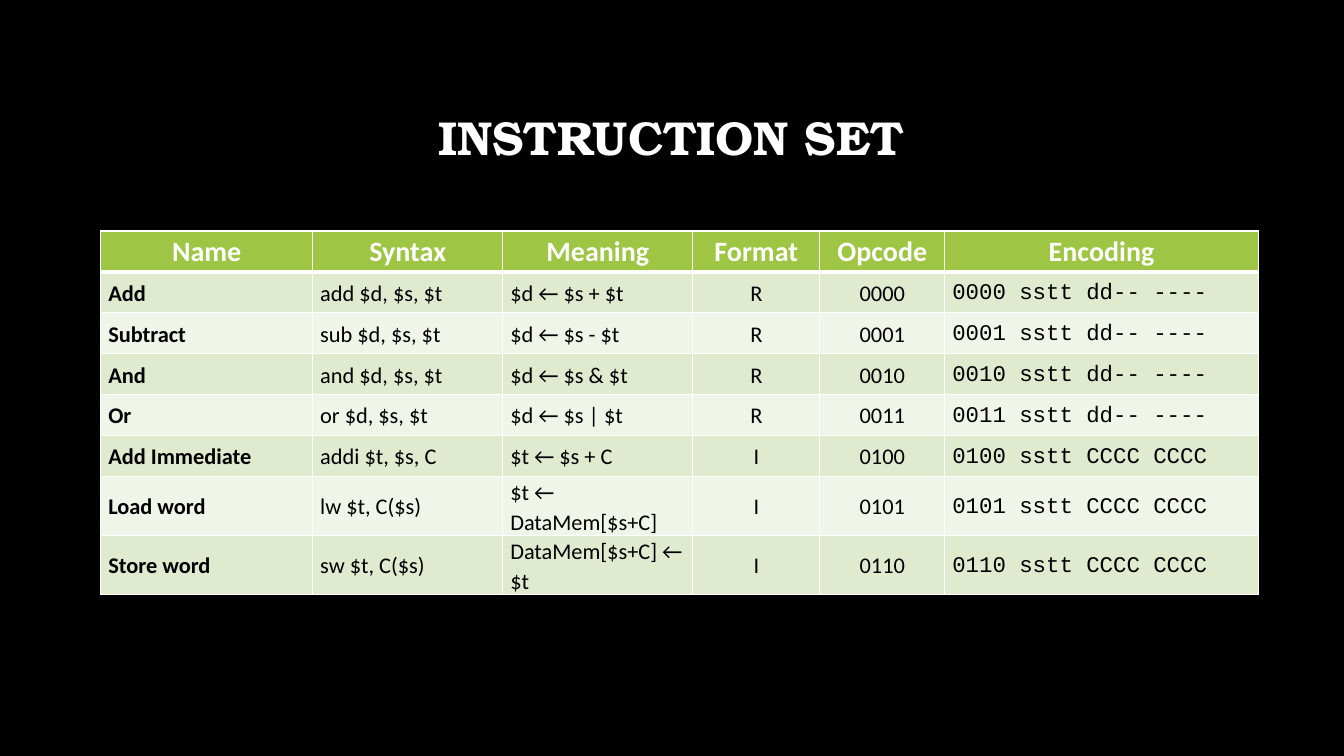
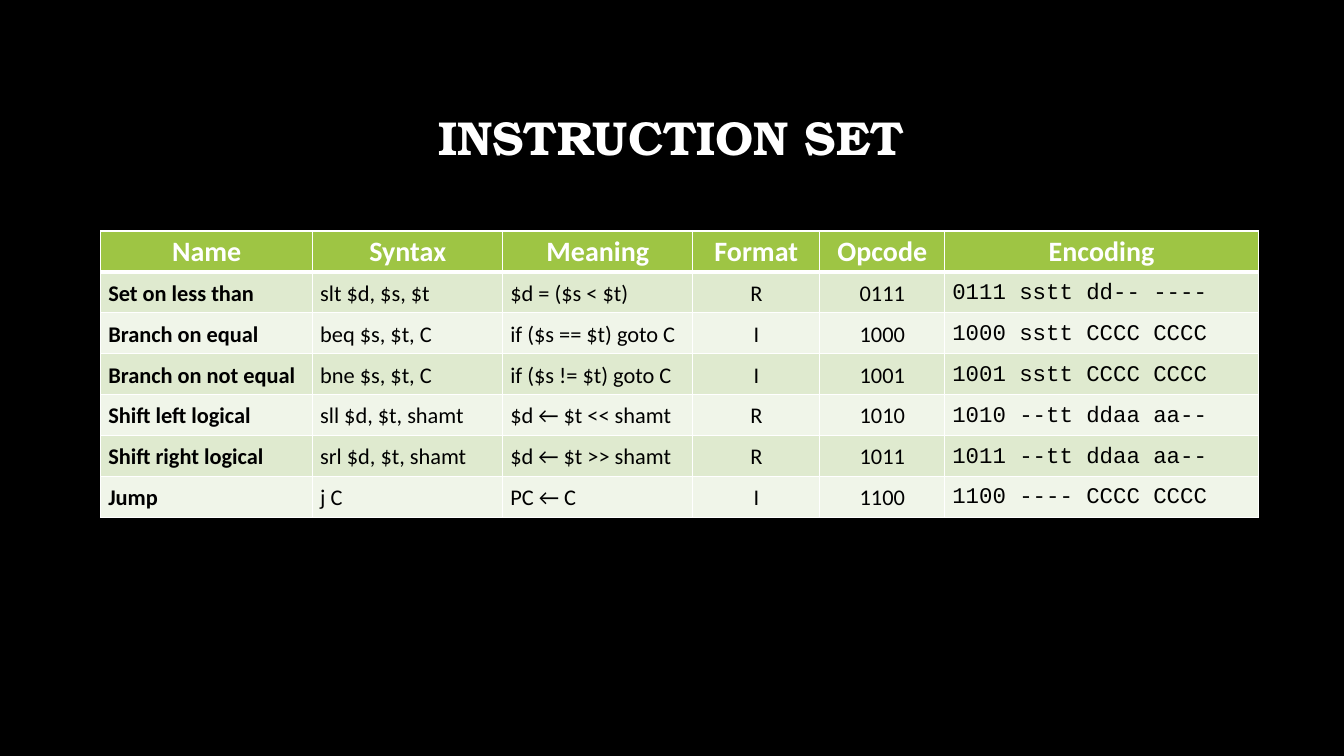
from lxml.etree import SubElement
from pptx import Presentation
from pptx.dml.color import RGBColor
from pptx.enum.text import MSO_ANCHOR, PP_ALIGN
from pptx.oxml.ns import qn
from pptx.util import Cm, Pt

BLACK = RGBColor(0x00, 0x00, 0x00)
WHITE = RGBColor(0xFF, 0xFF, 0xFF)
GREEN = RGBColor(0x9E, 0xC5, 0x44)
BANDS = (RGBColor(0xDF, 0xEA, 0xCF), RGBColor(0xF0, 0xF5, 0xE9))

TITLE = {"name": "TeX Gyre Bonum", "size": Pt(34), "bold": True}
HEADER = {"name": "Calibri", "size": Pt(20), "bold": True}
BODY = {"name": "Calibri", "size": Pt(16), "bold": False}
NAME = {**BODY, "bold": True}
CODE = {**BODY, "name": "Courier New"}

LEFT, CENTER = PP_ALIGN.LEFT, PP_ALIGN.CENTER
COLUMNS = (
    ("Name", 5.34, NAME, LEFT),
    ("Syntax", 4.79, BODY, LEFT),
    ("Meaning", 4.79, BODY, LEFT),
    ("Format", 3.2, BODY, CENTER),
    ("Opcode", 3.15, BODY, CENTER),
    ("Encoding", 7.9, CODE, LEFT),
)
ROW_HEIGHT = 1.03
CELL = {
    "margin_left": Cm(0.19),
    "margin_right": Cm(0.19),
    "margin_top": 0,
    "margin_bottom": 0,
}

ARITHMETIC = (
    ("Add", "add $d, $s, $t", "$d ← $s + $t", "R", "0000 sstt dd-- ----"),
    ("Subtract", "sub $d, $s, $t", "$d ← $s - $t", "R", "0001 sstt dd-- ----"),
    ("And", "and $d, $s, $t", "$d ← $s & $t", "R", "0010 sstt dd-- ----"),
    ("Or", "or $d, $s, $t", "$d ← $s | $t", "R", "0011 sstt dd-- ----"),
    ("Add Immediate", "addi $t, $s, C", "$t ← $s + C", "I", "0100 sstt CCCC CCCC"),
    ("Load word", "lw $t, C($s)", "$t ← DataMem[$s+C]", "I", "0101 sstt CCCC CCCC"),
    ("Store word", "sw $t, C($s)", "DataMem[$s+C] ← $t", "I", "0110 sstt CCCC CCCC"),
)
CONTROL = (
    ("Set on less than", "slt $d, $s, $t", "$d = ($s < $t)", "R", "0111 sstt dd-- ----"),
    ("Branch on equal", "beq $s, $t, C", "if ($s == $t) goto C", "I", "1000 sstt CCCC CCCC"),
    ("Branch on not equal", "bne $s, $t, C", "if ($s != $t) goto C", "I", "1001 sstt CCCC CCCC"),
    ("Shift left logical", "sll $d, $t, shamt", "$d ← $t << shamt", "R", "1010 --tt ddaa aa--"),
    ("Shift right logical", "srl $d, $t, shamt", "$d ← $t >> shamt", "R", "1011 --tt ddaa aa--"),
    ("Jump", "j C", "PC ← C", "I", "1100 ---- CCCC CCCC"),
)


def set_all(target, values):
    for key, value in values.items():
        setattr(target, key, value)


class Deck:
    def __init__(self):
        self.prs = Presentation()
        self.prs.slide_width, self.prs.slide_height = Cm(33.87), Cm(19.05)
        self.s = None

    def slide(self):
        self.s = self.prs.slides.add_slide(self.prs.slide_layouts[6])
        fill = self.s.background.fill
        fill.solid()
        fill.fore_color.rgb = BLACK

    def text(self, tf, text, font, color, align, spacing):
        p = tf.paragraphs[0]
        p.alignment, p.line_spacing = align, spacing
        r = p.add_run()
        r.text = text
        set_all(r.font, font)
        r.font.color.rgb = color

    def title(self, text):
        sp = self.s.shapes.add_textbox(Cm(2.54), Cm(1.7), Cm(28.75), Cm(3.68))
        tf = sp.text_frame
        tf.word_wrap = True
        tf.vertical_anchor = MSO_ANCHOR.MIDDLE
        self.text(tf, text, TITLE, WHITE, CENTER, 0.9)

    def borders(self, cell, top=1, bottom=1):
        tc_pr = cell._tc.get_or_add_tcPr()
        for side, width in {"L": 1, "R": 1, "T": top, "B": bottom}.items():
            ln = SubElement(tc_pr, qn(f"a:ln{side}"), w=str(Pt(width)))
            fill = SubElement(ln, qn("a:solidFill"))
            SubElement(fill, qn("a:srgbClr"), val=str(WHITE))

    def cell(self, cell, text, font, color, align, fill, anchor, **widths):
        set_all(cell, CELL)
        cell.vertical_anchor = anchor
        self.borders(cell, **widths)
        cell.fill.solid()
        cell.fill.fore_color.rgb = fill
        self.text(cell.text_frame, text, font, color, align, 1.1)

    def table(self, instructions):
        count = len(instructions) + 1
        width = sum(column[1] for column in COLUMNS)
        table = self.s.shapes.add_table(
            count, len(COLUMNS), Cm(2.54), Cm(5.82), Cm(width), Cm(ROW_HEIGHT * count)
        ).table
        for row in table.rows:
            row.height = Cm(ROW_HEIGHT)
        for j, (heading, width, font, align) in enumerate(COLUMNS):
            table.columns[j].width = Cm(width)
            self.cell(table.cell(0, j), heading, HEADER, WHITE, CENTER,
                      GREEN, MSO_ANCHOR.TOP, bottom=3)
            for i, (*fields, encoding) in enumerate(instructions):
                values = (*fields, encoding[:4], encoding)
                self.cell(table.cell(i + 1, j), values[j], font, BLACK, align,
                          BANDS[i % 2], MSO_ANCHOR.MIDDLE, top=1 if i else 3)


def main():
    deck = Deck()
    for instructions in (ARITHMETIC, CONTROL):
        deck.slide()
        deck.title("INSTRUCTION SET")
        deck.table(instructions)
    deck.prs.save("out.pptx")


if __name__ == "__main__":
    main()
